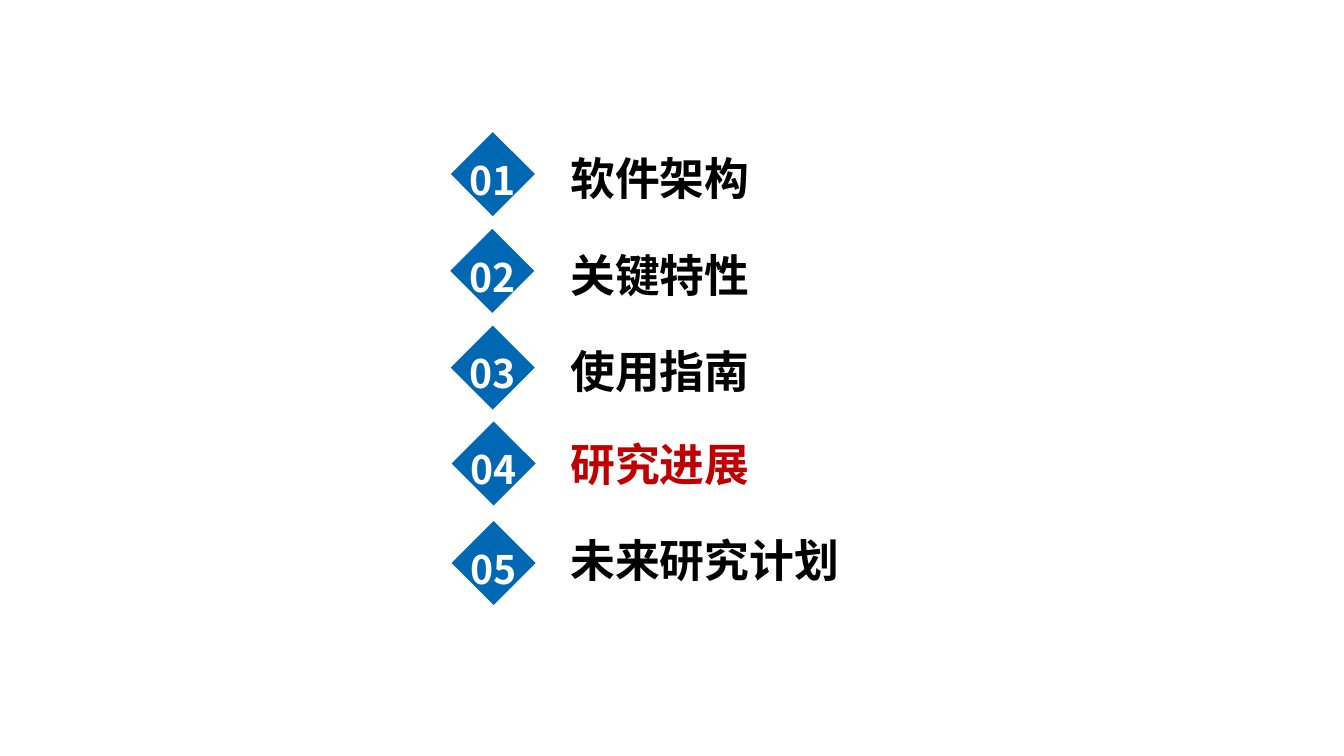
from typing import NamedTuple

from pptx import Presentation
from pptx.dml.color import RGBColor
from pptx.enum.shapes import MSO_SHAPE as Shape
from pptx.enum.text import MSO_ANCHOR as Anchor, MSO_AUTO_SIZE as AutoSize, PP_ALIGN as Align
from pptx.oxml.ns import qn
from pptx.slide import Slide
from pptx.text.text import TextFrame
from pptx.util import Pt

COLORS = {"blue": "0067B3", "white": "FFFFFF", "black": "000000", "red": "C00000"}
FONT = "Noto Sans CJK SC"
DIAMOND_SIZE = 60
HEADING_LEFT = 400.3
HEADING_HEIGHT = 46


class Chapter(NamedTuple):
    heading: str
    diamond_left: float
    diamond_top: float
    heading_top: float
    heading_width: float
    color: str = "black"


CHAPTERS = [
    Chapter("软件架构", 322, 94.3, 104.4, 271.4),
    Chapter("关键特性", 321.6, 163.5, 173.2, 271.4),
    Chapter("使用指南", 322, 232.6, 241.9, 271.4),
    Chapter("研究进展", 322.6, 301, 308.2, 152.6, "red"),
    Chapter("未来研究计划", 322.6, 372.2, 376.6, 213.1),
]


def write(frame: TextFrame, text: str, size: float, color: str, frame_format: dict) -> None:
    """Write one bold line, with the font set for Latin and Chinese characters."""
    for name, value in frame_format.items():
        setattr(frame, name, value)
    run = frame.paragraphs[0].add_run()
    run.text = text
    for name, value in {"name": FONT, "size": Pt(size), "bold": True}.items():
        setattr(run.font, name, value)
    run.font.color.rgb = RGBColor.from_string(COLORS[color])
    east_asian = run.font._element.makeelement(qn("a:ea"), {"typeface": FONT})
    run.font._element.find(qn("a:latin")).addnext(east_asian)


def add_number(slide: Slide, chapter: Chapter, number: int) -> None:
    diamond = slide.shapes.add_shape(
        Shape.DIAMOND, Pt(chapter.diamond_left), Pt(chapter.diamond_top),
        Pt(DIAMOND_SIZE), Pt(DIAMOND_SIZE))
    diamond.shadow.inherit = False
    diamond.fill.solid()
    diamond.fill.fore_color.rgb = RGBColor.from_string(COLORS["blue"])
    diamond.line.fill.background()
    write(diamond.text_frame, f"{number:02}", 28, "white", {
        "word_wrap": False, "vertical_anchor": Anchor.MIDDLE,
        "margin_left": 0, "margin_right": 0, "margin_top": Pt(8), "margin_bottom": 0})
    diamond.text_frame.paragraphs[0].alignment = Align.CENTER


def add_heading(slide: Slide, chapter: Chapter) -> None:
    heading = slide.shapes.add_textbox(
        Pt(HEADING_LEFT), Pt(chapter.heading_top),
        Pt(chapter.heading_width), Pt(HEADING_HEIGHT))
    write(heading.text_frame, chapter.heading, 32, chapter.color, {
        "word_wrap": True, "auto_size": AutoSize.SHAPE_TO_FIT_TEXT})


def main() -> None:
    deck = Presentation()
    deck.slide_width, deck.slide_height = Pt(960), Pt(540)
    slide = deck.slides.add_slide(deck.slide_layouts[6])
    for number, chapter in enumerate(CHAPTERS, start=1):
        add_number(slide, chapter, number)
        add_heading(slide, chapter)
    deck.save("out.pptx")


if __name__ == "__main__":
    main()
